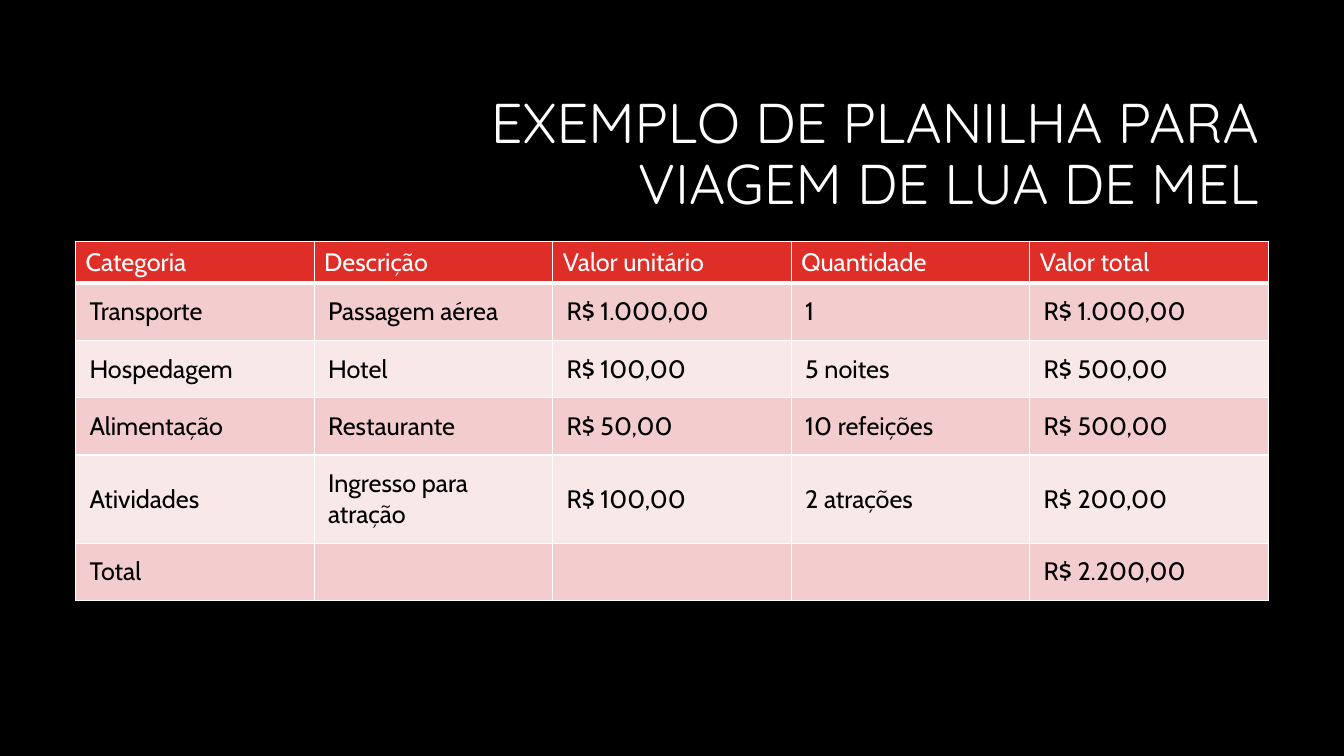
from lxml.etree import SubElement
from pptx import Presentation
from pptx.dml.color import RGBColor
from pptx.enum.text import MSO_ANCHOR as Anchor, PP_ALIGN as Align
from pptx.oxml.ns import qn
from pptx.util import Pt

TITLE = "EXEMPLO DE PLANILHA PARA VIAGEM DE LUA DE MEL"
BUDGET = [
    ("Categoria", "Descrição", "Valor unitário", "Quantidade", "Valor total"),
    ("Transporte", "Passagem aérea", "R$ 1.000,00", "1", "R$ 1.000,00"),
    ("Hospedagem", "Hotel", "R$ 100,00", "5 noites", "R$ 500,00"),
    ("Alimentação", "Restaurante", "R$ 50,00", "10 refeições", "R$ 500,00"),
    ("Atividades", "Ingresso para atração", "R$ 100,00", "2 atrações", "R$ 200,00"),
    ("Total", "", "", "", "R$ 2.200,00"),
]
ROW_HEIGHTS = [29.5, 41, 41, 41, 63, 41]
COLUMN_WIDTH = 170.4

BLACK = RGBColor(0x00, 0x00, 0x00)
WHITE = RGBColor(0xFF, 0xFF, 0xFF)
RED = RGBColor(0xDF, 0x2E, 0x28)
ROSE = RGBColor(0xF3, 0xCD, 0xCD)
PALE_ROSE = RGBColor(0xF9, 0xE8, 0xE8)


def style_text(paragraph, font_name, size, color):
    paragraph.font.name = font_name
    paragraph.font.size = Pt(size)
    paragraph.font.color.rgb = color


def add_borders(cell, widths):
    properties = cell._tc.get_or_add_tcPr()
    for side, width in widths.items():
        line = SubElement(properties, qn(f"a:ln{side}"), w=str(Pt(width)))
        fill = SubElement(line, qn("a:solidFill"))
        SubElement(fill, qn("a:srgbClr"), val=str(WHITE))


def add_title(slide):
    title = slide.shapes.add_textbox(Pt(228.2), Pt(60.5), Pt(678.2), Pt(101.5))
    frame = title.text_frame
    frame.word_wrap = True
    frame.vertical_anchor = Anchor.MIDDLE
    heading = frame.paragraphs[0]
    heading.text = TITLE
    heading.alignment = Align.RIGHT
    heading.line_spacing = 0.9
    style_text(heading, "Quicksand", 40, WHITE)


def add_budget(slide):
    columns = len(BUDGET[0])
    budget = slide.shapes.add_table(
        len(BUDGET), columns, Pt(54), Pt(172.6),
        Pt(COLUMN_WIDTH * columns), Pt(sum(ROW_HEIGHTS))).table
    for column in budget.columns:
        column.width = Pt(COLUMN_WIDTH)
    for r, (entries, height) in enumerate(zip(BUDGET, ROW_HEIGHTS)):
        budget.rows[r].height = Pt(height)
        header = r == 0
        band = RED if header else ROSE if r % 2 else PALE_ROSE
        side_inset, end_inset = (7.2, 3.6) if header else (10, 9.4)
        for c, entry in enumerate(entries):
            cell = budget.cell(r, c)
            cell.text = entry
            cell.vertical_anchor = Anchor.MIDDLE
            cell.margin_left = cell.margin_right = Pt(side_inset)
            cell.margin_top = cell.margin_bottom = Pt(end_inset)
            add_borders(cell, {"L": 1, "R": 1, "T": 3 if r == 1 else 1,
                               "B": 3 if header else 1})
            cell.fill.solid()
            cell.fill.fore_color.rgb = band
            style_text(cell.text_frame.paragraphs[0], "Cabin", 18,
                       WHITE if header else BLACK)


def main():
    deck = Presentation()
    deck.slide_width, deck.slide_height = Pt(960), Pt(540)
    slide = deck.slides.add_slide(deck.slide_layouts[6])
    slide.background.fill.solid()
    slide.background.fill.fore_color.rgb = BLACK
    add_title(slide)
    add_budget(slide)
    deck.save("out.pptx")


if __name__ == "__main__":
    main()
